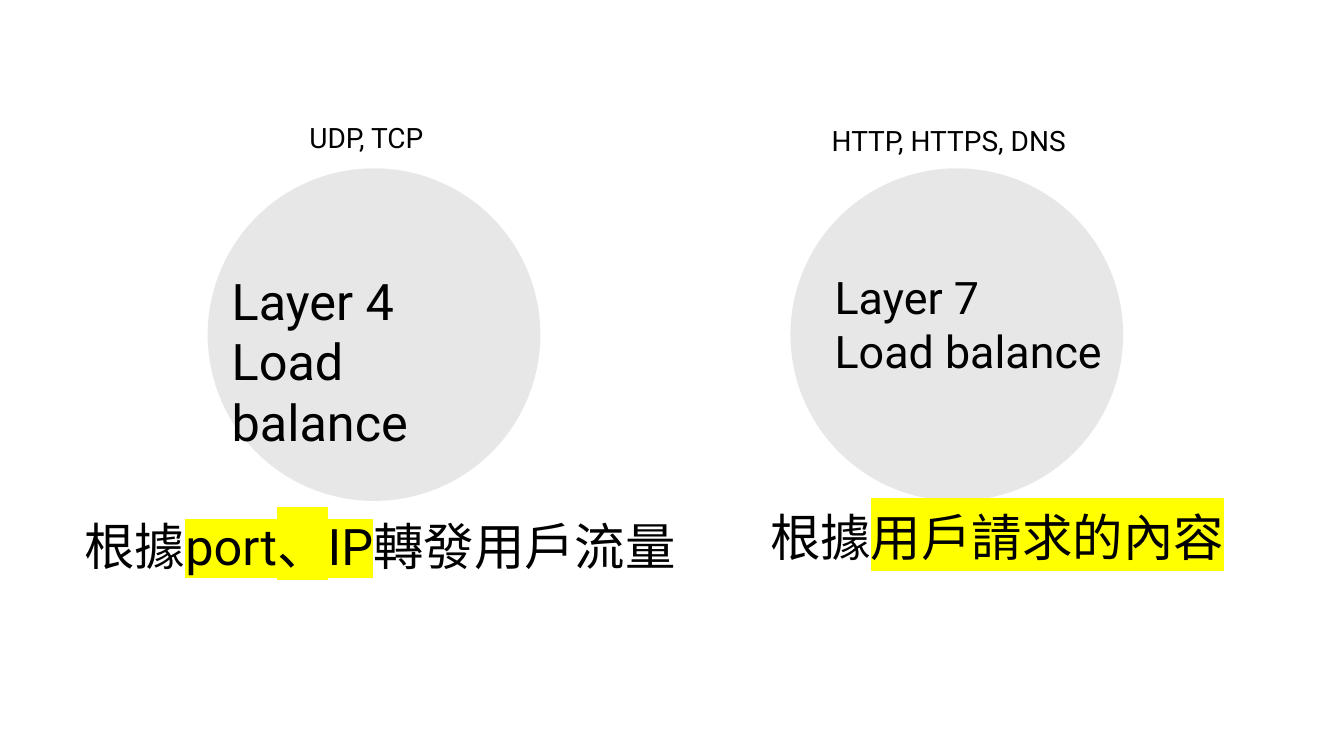
from dataclasses import dataclass

from pptx import Presentation
from pptx.dml.color import RGBColor
from pptx.enum.shapes import MSO_SHAPE
from pptx.enum.text import MSO_AUTO_SIZE
from pptx.oxml.ns import qn
from pptx.util import Inches, Pt
from lxml.etree import SubElement


@dataclass(frozen=True)
class Theme:
    font: str = "Roboto"
    ink: RGBColor = RGBColor(0, 0, 0)
    disc: RGBColor = RGBColor(0xD0, 0xCE, 0xCE)
    opacity: int = 47
    marker: str = "FFFF00"
    large: int = 36
    medium: int = 32
    small: int = 20


THEME = Theme()


def mark(run):
    """Put the marker colour behind a run."""
    props = run.font._element
    light = SubElement(props, qn("a:highlight"))
    SubElement(light, qn("a:srgbClr"), val=THEME.marker)
    props.find(qn("a:solidFill")).addnext(light)


def add_text(shapes, box, lines, size):
    """Write lines, each a list of pieces; every second piece is marked."""
    frame = shapes.add_textbox(*map(Inches, box)).text_frame
    frame.word_wrap = True
    frame.auto_size = MSO_AUTO_SIZE.SHAPE_TO_FIT_TEXT
    for row, pieces in enumerate(lines):
        para = frame.add_paragraph() if row else frame.paragraphs[0]
        for place, piece in enumerate(pieces):
            run = para.add_run()
            run.text = piece
            run.font.size = Pt(size)
            run.font.color.rgb = THEME.ink
            if place % 2:
                mark(run)
            run.font.name = THEME.font


def add_disc(shapes, left, top, side):
    disc = shapes.add_shape(
        MSO_SHAPE.OVAL, Inches(left), Inches(top), Inches(side), Inches(side)
    )
    disc.shadow.inherit = False
    disc.fill.solid()
    disc.fill.fore_color.rgb = THEME.disc
    disc.line.fill.background()
    color = disc._element.spPr.find(qn("a:solidFill"))[0]
    SubElement(color, qn("a:alpha"), val=str(THEME.opacity * 1000))


def add_layer(slide, left, box, name, size):
    """Group a disc with the name of its layer."""
    shapes = slide.shapes.add_group_shape().shapes
    add_disc(shapes, left, 1.67, 3.3)
    add_text(shapes, box, [[name], ["Load balance"]], size)


def main():
    deck = Presentation()
    deck.slide_width, deck.slide_height = Inches(13.33), Inches(7.5)
    slide = deck.slides.add_slide(deck.slide_layouts[6])

    add_layer(slide, 2.06, (2.2, 2.63, 3.16, 1.31), "Layer 4", THEME.large)
    add_layer(slide, 7.84, (8.18, 2.63, 2.96, 1.18), "Layer 7", THEME.medium)

    captions = [
        ((0.74, 5.06, 6.08, 0.71), ["根據", "port、IP", "轉發用戶流量"], THEME.large),
        ((7.54, 4.97, 4.75, 0.71), ["根據", "用戶請求的內容"], THEME.large),
        ((2.97, 1.15, 1.47, 0.44), ["UDP, TCP"], THEME.small),
        ((8.15, 1.18, 2.68, 0.44), ["HTTP, HTTPS, DNS"], THEME.small),
    ]
    for box, pieces, size in captions:
        add_text(slide.shapes, box, [pieces], size)

    deck.save("out.pptx")


if __name__ == "__main__":
    main()
